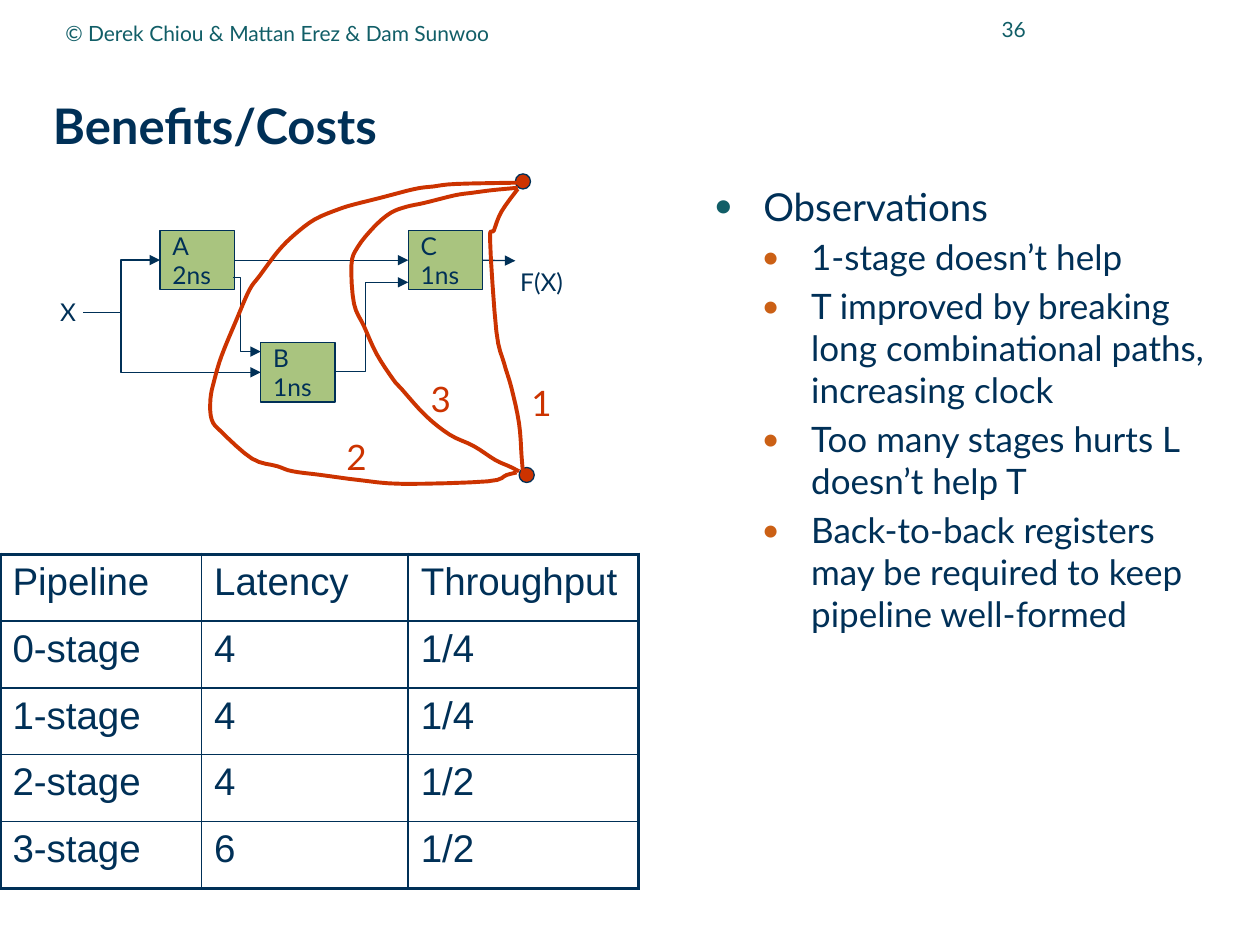
from lxml import etree
from pptx import Presentation
from pptx.dml.color import RGBColor
from pptx.enum.shapes import MSO_CONNECTOR, MSO_SHAPE
from pptx.enum.text import MSO_ANCHOR, PP_ALIGN
from pptx.oxml.ns import qn
from pptx.util import Emu, Inches, Pt

RECT, OVAL = MSO_SHAPE.RECTANGLE, MSO_SHAPE.OVAL
STRAIGHT, ELBOW = MSO_CONNECTOR.STRAIGHT, MSO_CONNECTOR.ELBOW
MIDDLE, TOP = MSO_ANCHOR.MIDDLE, MSO_ANCHOR.TOP
LEFT, RIGHT = PP_ALIGN.LEFT, PP_ALIGN.RIGHT
NAVY, TEAL, ORANGE, RED, GREEN = "003057", "115E67", "CB6015", "CC3300", "A9C47F"
THIN, THICK = 0.75, 2.25

LABELS = [
    ("Benefits/Costs", (0.42, 0.5, 9.41, 0.98), 28, NAVY,
     dict(bold=True, anchor=MIDDLE, margin=0)),
    ("36", (7.33, -0.02, 0.91, 0.5), 12, TEAL, dict(align=RIGHT, anchor=MIDDLE)),
    ("© Derek Chiou & Mattan Erez & Dam Sunwoo", (0.42, 0.03, 5.67, 0.46), 12, TEAL,
     dict(anchor=MIDDLE)),
    ("X", (0.38, 2.31, 0.33, 0.33), 14, NAVY, dict(wrap=False)),
    ("F(X)", (4.03, 2.07, 0.58, 0.33), 14, NAVY, dict(wrap=False)),
    ("1", (4.12, 2.98, 0.36, 0.44), 20, RED, dict(wrap=False)),
    ("2", (2.65, 3.41, 0.36, 0.44), 20, RED, dict(wrap=False)),
    ("3", (3.32, 2.95, 0.36, 0.44), 20, RED, dict(wrap=False)),
]
TABLE = [
    ("Pipeline", "Latency", "Throughput"),
    ("0-stage", "4", "1/4"),
    ("1-stage", "4", "1/4"),
    ("2-stage", "4", "1/2"),
    ("3-stage", "6", "1/2"),
]
COLUMNS, ROW, TABLE_TOP = (1.6, 1.64, 1.83), 0.53, 4.4
BLOCK_W, BLOCK_H = 0.59, 0.47
BLOCKS = {"A": ("2ns", 1.27, 1.83), "B": ("1ns", 2.07, 2.72), "C": ("1ns", 3.24, 1.83)}
INPUT, FORK = (0.66, 2.48), 0.96
OUTPUT = (4.09, 2.07)
WIRES = [
    [(2.65, 2.95), (2.9, 2.95), (2.9, 2.24), (3.24, 2.24)],
    [(1.85, 2.2), (1.91, 2.2), (1.91, 2.79), (2.07, 2.79)],
]
DOT, DOTS = 0.12, [(4.09, 1.38), (4.12, 3.71)]
CUTS = [
    [(4.11, 1.5), (3.98, 1.68), (3.92, 1.83), (3.89, 1.91), (3.94, 2.63), (4, 2.88),
     (4.06, 3.08), (4.12, 3.36), (4.14, 3.62), (4.15, 3.74)],
    [(4.11, 1.49), (3.9, 1.51), (3.75, 1.53), (3.61, 1.55), (3.37, 1.61), (3.23, 1.64),
     (3.1, 1.69), (2.97, 1.8), (2.84, 1.96), (2.79, 2.1), (2.81, 2.41), (2.89, 2.59),
     (2.99, 2.81), (3.12, 3.01), (3.19, 3.09), (3.38, 3.3), (3.57, 3.45), (3.76, 3.54),
     (3.93, 3.65), (4.04, 3.7), (4.12, 3.74)],
    [(4.11, 1.45), (3.62, 1.46), (3.44, 1.48), (3.29, 1.5), (3.02, 1.57), (2.82, 1.62),
     (2.69, 1.66), (2.5, 1.74), (2.34, 1.86), (2.21, 1.99), (2.06, 2.19), (1.98, 2.3),
     (1.88, 2.53), (1.76, 2.82), (1.7, 3.02), (1.67, 3.17), (1.68, 3.33), (1.76, 3.43),
     (2, 3.64), (2.2, 3.7), (2.32, 3.74), (2.55, 3.77), (2.85, 3.81), (3.2, 3.84),
     (3.87, 3.82), (4.02, 3.77), (4.1, 3.75)],
]
NOTES = [
    (0, "Observations"),
    (1, "1-stage doesn’t help"),
    (1, "T improved by breaking long combinational paths, increasing clock"),
    (1, "Too many stages hurts L doesn’t help T"),
    (1, "Back-to-back registers may be required to keep pipeline well-formed"),
]
NOTE_LEVELS = [(22, TEAL), (20, ORANGE)]
INDENT = 0.38

prs = Presentation()
prs.slide_width, prs.slide_height = Inches(10), Inches(7.5)
s = prs.slides.add_slide(prs.slide_layouts[6])


def rgb(color):
    return RGBColor.from_string(color)


def box(at):
    return [Inches(v) for v in at]


def sub(parent, tag, **attrs):
    return etree.SubElement(parent, qn(tag), attrs)


def write(p, text, size, color, font="Lato", bold=False):
    r = p.add_run()
    r.text = text
    r.font.name, r.font.size, r.font.bold = font, Pt(size), bold
    r.font.color.rgb = rgb(color)


def add_label(text, at, size, color, align=LEFT, anchor=TOP, wrap=True, margin=None, bold=False):
    tf = s.shapes.add_textbox(*box(at)).text_frame
    tf.word_wrap, tf.vertical_anchor = wrap, anchor
    if margin is not None:
        tf.margin_left = tf.margin_right = tf.margin_top = tf.margin_bottom = Inches(margin)
    tf.paragraphs[0].alignment = align
    write(tf.paragraphs[0], text, size, color, bold=bold)


def outline(sp, color, width):
    sp.line.color.rgb, sp.line.width = rgb(color), Pt(width)


def add_arrowhead(sp):
    sub(sp.line._get_or_add_ln(), "a:tailEnd", type="triangle")


def add_solid(kind, at, fill):
    sp = s.shapes.add_shape(kind, *box(at))
    sp.shadow.inherit = False
    sp.fill.solid()
    sp.fill.fore_color.rgb = rgb(fill)
    outline(sp, NAVY, THIN)
    return sp


def add_path_line(points, color, width):
    pts = [(Inches(x), Inches(y)) for x, y in points]
    fb = s.shapes.build_freeform(*pts[0])
    fb.add_line_segments(pts[1:], close=False)
    sp = fb.convert_to_shape()
    sp.shadow.inherit = False
    sp.fill.background()
    outline(sp, color, width)
    return sp


def smooth(points, steps=4):
    padded = [points[0], *points, points[-1]]
    result = [points[0]]
    for a, b, c, d in zip(padded, padded[1:], padded[2:], padded[3:]):
        for t in (i / steps for i in range(1, steps + 1)):
            result.append(tuple(
                (2 * q + (r - p) * t + (2 * p - 5 * q + 4 * r - u) * t**2
                 + (3 * q - p - 3 * r + u) * t**3) / 2
                for p, q, r, u in zip(a, b, c, d)))
    return result


def add_arrow(kind, start, end, source=None, target=None, bend=None):
    c = s.shapes.add_connector(kind, *box(start + end))
    if source:
        c.begin_connect(source, 3)
    if target:
        c.end_connect(target, 1)
    outline(c, NAVY, THIN)
    add_arrowhead(c)
    sub(c._element.spPr, "a:effectLst")
    if bend:
        share = (bend - start[0]) / (end[0] - start[0])
        geom = c._element.spPr.find(qn("a:prstGeom"))
        sub(geom.get_or_add_avLst(), "a:gd", name="adj1", fmla=f"val {round(share * 100000)}")


def set_borders(cell, sides):
    tc_pr = cell._tc.get_or_add_tcPr()
    for i, (side, width) in enumerate(sides):
        ln = etree.Element(qn(f"a:ln{side}"), w=str(Pt(width)))
        sub(sub(ln, "a:solidFill"), "a:srgbClr", val=NAVY)
        tc_pr.insert(i, ln)


def add_table():
    n, m = len(TABLE), len(COLUMNS)
    tbl = s.shapes.add_table(n, m, *box((0, TABLE_TOP, sum(COLUMNS), n * ROW))).table
    tbl.first_row = tbl.horz_banding = False
    for col, width in zip(tbl.columns, COLUMNS):
        col.width = Inches(width)
    for i, values in enumerate(TABLE):
        tbl.rows[i].height = Inches(ROW)
        for j, value in enumerate(values):
            cell = tbl.cell(i, j)
            cell.fill.background()
            write(cell.text_frame.paragraphs[0], value, 22, NAVY, "Arial")
            edges = zip("LRTB", (j == 0, j == m - 1, i == 0, i == n - 1))
            set_borders(cell, [(side, THICK if outer else 1) for side, outer in edges])


def add_notes():
    tf = s.shapes.add_textbox(*box((5.58, 1.4, 4.17, 5.63))).text_frame
    tf.word_wrap = True
    for i, (level, text) in enumerate(NOTES):
        size, color = NOTE_LEVELS[level]
        p = tf.add_paragraph() if i else tf.paragraphs[0]
        p.level = level
        pPr = p._p.get_or_add_pPr()
        pPr.set("marL", str(Inches(INDENT * (level + 1))))
        pPr.set("indent", str(Inches(-INDENT)))
        sub(sub(pPr, "a:buClr"), "a:srgbClr", val=color)
        sub(pPr, "a:buSzPct", val="70000")
        sub(pPr, "a:buFont", typeface="Lato")
        sub(pPr, "a:buChar", char="●")
        if i:
            p.space_before = Pt(size * 0.2)
        write(p, text, size, NAVY)


add_table()
blocks = {}
for name, (delay, x, y) in BLOCKS.items():
    blocks[name] = sp = add_solid(RECT, (x, y, BLOCK_W, BLOCK_H), GREEN)
    tf = sp.text_frame
    tf.vertical_anchor = MIDDLE
    for p, text in zip((tf.paragraphs[0], tf.add_paragraph()), (name, delay)):
        p.alignment = LEFT
        write(p, text, 14, NAVY)
for name in "AB":
    _, x, y = BLOCKS[name]
    add_arrow(ELBOW, INPUT, (x, y + BLOCK_H / 2), target=blocks[name], bend=FORK)
add_arrow(STRAIGHT, (1.86, 2.07), (3.24, 2.07), blocks["A"], blocks["C"])
add_arrow(STRAIGHT, (3.83, 2.07), OUTPUT, blocks["C"])
for wire in WIRES:
    add_arrowhead(add_path_line(wire, NAVY, THIN))
for x, y in DOTS:
    add_solid(OVAL, (x, y, DOT, DOT), RED)
for cut in CUTS:
    add_path_line(smooth(cut), RED, THICK)
for text, at, size, color, options in LABELS:
    add_label(text, at, size, color, **options)
add_notes()
prs.save("out.pptx")
